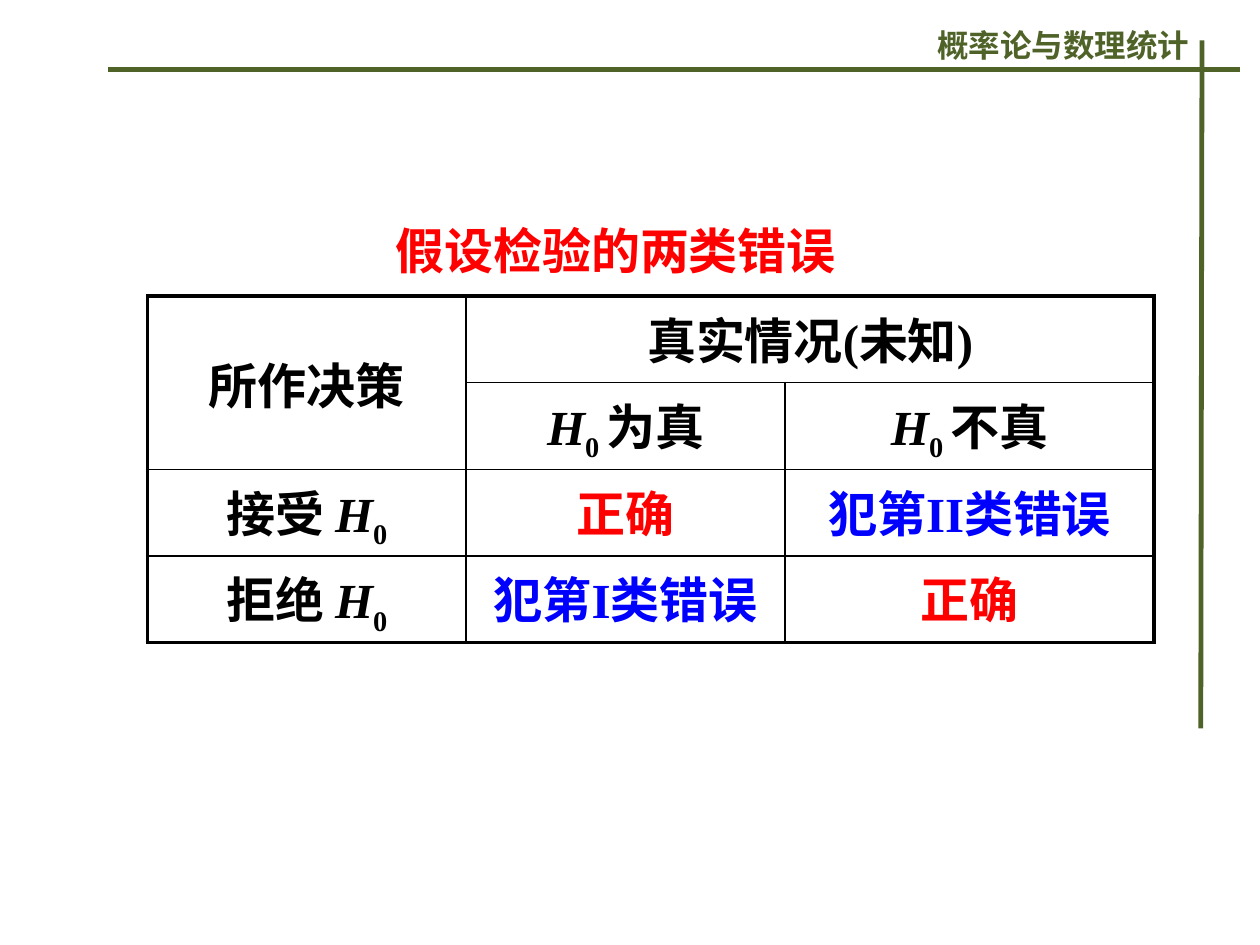
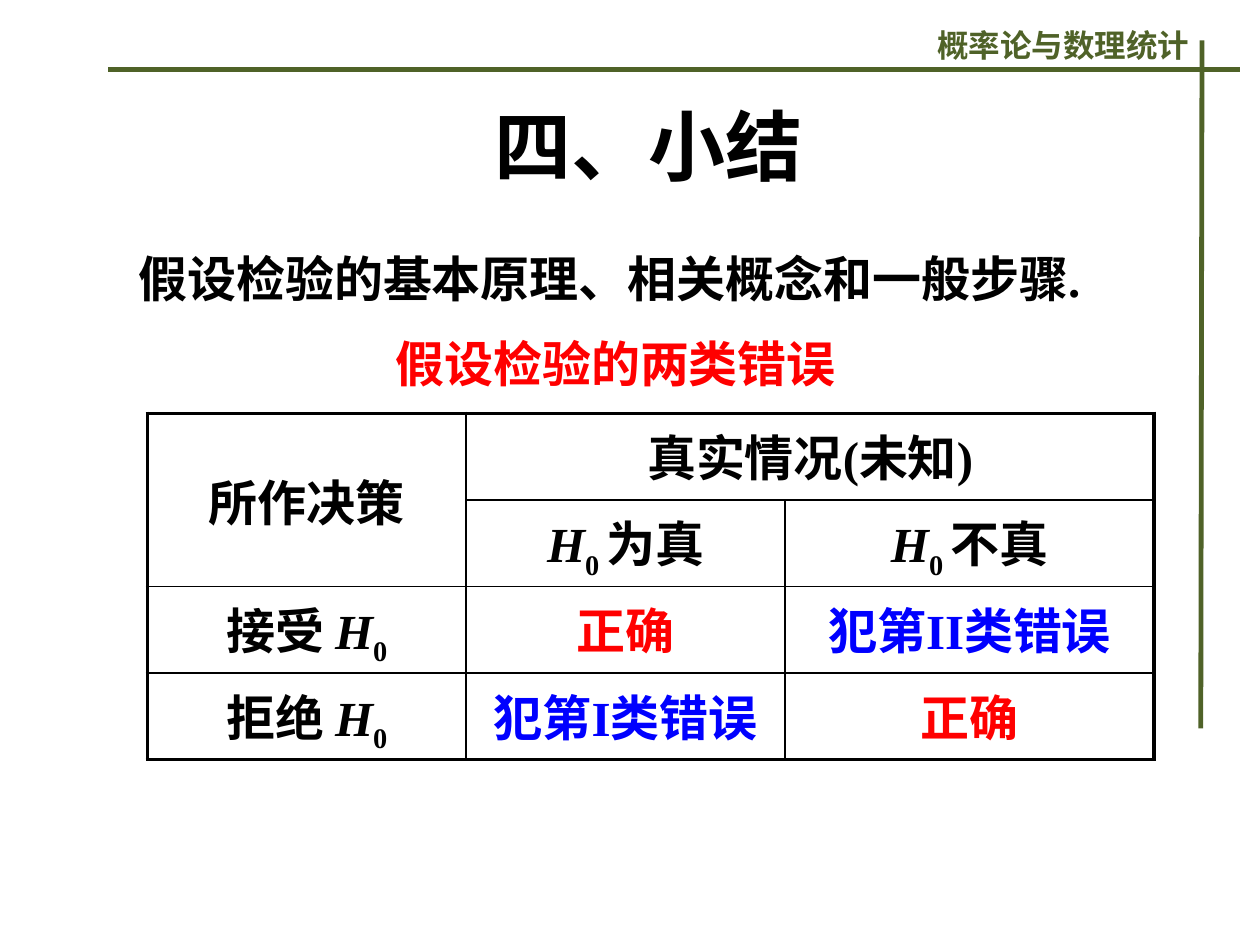
import dataclasses
import typing

import lxml.etree
import pptx
import pptx.dml.color
import pptx.enum.shapes
import pptx.enum.text
import pptx.oxml.ns
import pptx.util

Inches = pptx.util.Inches
Pt = pptx.util.Pt
Align = pptx.enum.text.PP_ALIGN
Anchor = pptx.enum.text.MSO_ANCHOR
qn = pptx.oxml.ns.qn


@dataclasses.dataclass(frozen=True)
class Theme:
    green: str = "4F6228"
    black: str = "000000"
    red: str = "FF0000"
    blue: str = "0000FF"
    latin_font: str = "Times New Roman"
    chinese_font: str = "Noto Sans CJK SC"
    course_size: int = 18
    body_size: int = 28
    title_size: int = 44
    rule_width: float = 2.75
    outer_border: float = 2.25
    inner_border: float = 1


THEME = Theme()


class Span(typing.NamedTuple):
    text: str
    color: str = THEME.black
    italic: bool = False
    lowered: bool = False


class Box(typing.NamedTuple):
    left: float
    top: float
    width: float
    height: float

    def lengths(self):
        return [Inches(value) for value in self]


def hypothesis(gap=""):
    return [Span("H", italic=True), Span("0" + gap, lowered=True)]


CORRECT = [Span("正确", THEME.red)]
DECISION_ROWS = [
    [[Span("所作决策")], [Span("真实情况(未知)")], []],
    [[], hypothesis(" ") + [Span("为真")], hypothesis(" ") + [Span("不真")]],
    [[Span("接受 ")] + hypothesis(), CORRECT, [Span("犯第II类错误", THEME.blue)]],
    [[Span("拒绝 ")] + hypothesis(), [Span("犯第I类错误", THEME.blue)], CORRECT],
]
COLUMN_WIDTHS = [2.53, 2.53, 2.93]


def rgb(color):
    return pptx.dml.color.RGBColor.from_string(color)


def write_spans(para, spans, size, latin_font=THEME.latin_font,
                align=Align.LEFT, space_before=0):
    """Fill a paragraph run by run; space_before is a percentage of a line."""
    para.alignment = align
    if space_before:
        spacing = lxml.etree.SubElement(para._p.get_or_add_pPr(), qn("a:spcBef"))
        lxml.etree.SubElement(spacing, qn("a:spcPct"), val=str(space_before * 1000))
    for span in spans:
        run = para.add_run()
        run.text = span.text
        font = run.font
        font.size, font.bold, font.italic = Pt(size), True, span.italic
        font.color.rgb = rgb(span.color)
        font.name = latin_font
        properties = run._r.get_or_add_rPr()
        lxml.etree.SubElement(properties, qn("a:ea"), typeface=THEME.chinese_font)
        if span.lowered:
            properties.set("baseline", "-25000")


def add_text(page, box, span, size, anchor=Anchor.TOP, **style):
    frame = page.shapes.add_textbox(*box.lengths()).text_frame
    frame.word_wrap = True
    frame.auto_size = pptx.enum.text.MSO_AUTO_SIZE.SHAPE_TO_FIT_TEXT
    frame.vertical_anchor = anchor
    write_spans(frame.paragraphs[0], [span], size, **style)


def add_rule(page, start, end):
    rule = page.shapes.add_connector(
        pptx.enum.shapes.MSO_CONNECTOR.STRAIGHT,
        *[Inches(value) for value in (*start, *end)])
    rule.line.color.rgb = rgb(THEME.green)
    rule.line.width = Pt(THEME.rule_width)
    lxml.etree.SubElement(rule._element.spPr, qn("a:effectLst"))


def add_page(deck):
    """Add a blank slide with the crossing rules and the course name."""
    page = deck.slides.add_slide(deck.slide_layouts[6])
    add_rule(page, (0.86, 0.55), (9.84, 0.55))
    add_rule(page, (9.54, 0.32), (9.53, 5.78))
    add_text(page, Box(7.34, 0.16, 2.27, 0.4), Span("概率论与数理统计", THEME.green),
             THEME.course_size, latin_font=THEME.chinese_font)
    return page


def set_borders(cell, outer_sides):
    properties = cell._tc.get_or_add_tcPr()
    for side, is_outer in outer_sides.items():
        width = THEME.outer_border if is_outer else THEME.inner_border
        line = lxml.etree.SubElement(properties, qn("a:ln" + side), w=str(Pt(width)))
        fill = lxml.etree.SubElement(line, qn("a:solidFill"))
        lxml.etree.SubElement(fill, qn("a:srgbClr"), val=THEME.black)


def add_decision_table(page, box):
    row_count, column_count = len(DECISION_ROWS), len(COLUMN_WIDTHS)
    table = page.shapes.add_table(row_count, column_count, *box.lengths()).table
    table.first_row = table.horz_banding = False
    for column, width in zip(table.columns, COLUMN_WIDTHS):
        column.width = Inches(width)
    for row in table.rows:
        row.height = Inches(box.height / row_count)
    table.cell(0, 0).merge(table.cell(1, 0))
    table.cell(0, 1).merge(table.cell(0, 2))
    table.cell(0, 0).vertical_anchor = Anchor.MIDDLE

    for r, row_spans in enumerate(DECISION_ROWS):
        for c, spans in enumerate(row_spans):
            cell = table.cell(r, c)
            if not cell.is_spanned:
                down = cell.span_height if cell.is_merge_origin else 1
                across = cell.span_width if cell.is_merge_origin else 1
                set_borders(cell, {"L": c == 0, "R": c + across == column_count,
                                   "T": r == 0, "B": r + down == row_count})
                write_spans(cell.text_frame.paragraphs[0], spans, THEME.body_size,
                            align=Align.CENTER, space_before=20)
            cell.fill.background()


def add_error_types(page, box, table_offset):
    """Place the red caption at the top of the box and the table below it."""
    add_text(page, Box(box.left + 1.87, box.top, 5.5, 0.57),
             Span("假设检验的两类错误", THEME.red), THEME.body_size, space_before=50)
    add_decision_table(page, Box(box.left, box.top + table_offset,
                                 box.width, box.height - table_offset))


def add_errors_page(deck):
    page = add_page(deck)
    add_error_types(page, Box(1.17, 1.7, 7.99, 3.4), table_offset=0.65)


def add_summary_page(deck):
    page = add_page(deck)
    add_text(page, Box(0.9, 0.73, 8.5, 0.84), Span("四、小结"), THEME.title_size,
             anchor=Anchor.MIDDLE, align=Align.CENTER)
    add_text(page, Box(1, 1.92, 8.25, 0.57),
             Span("假设检验的基本原理、相关概念和一般步骤."),
             THEME.body_size, space_before=50)
    add_error_types(page, Box(1.17, 2.6, 7.99, 3.43), table_offset=0.68)


def main():
    deck = pptx.Presentation()
    deck.slide_width, deck.slide_height = Inches(10), Inches(7.5)
    add_errors_page(deck)
    add_summary_page(deck)
    deck.save("out.pptx")


if __name__ == "__main__":
    main()
